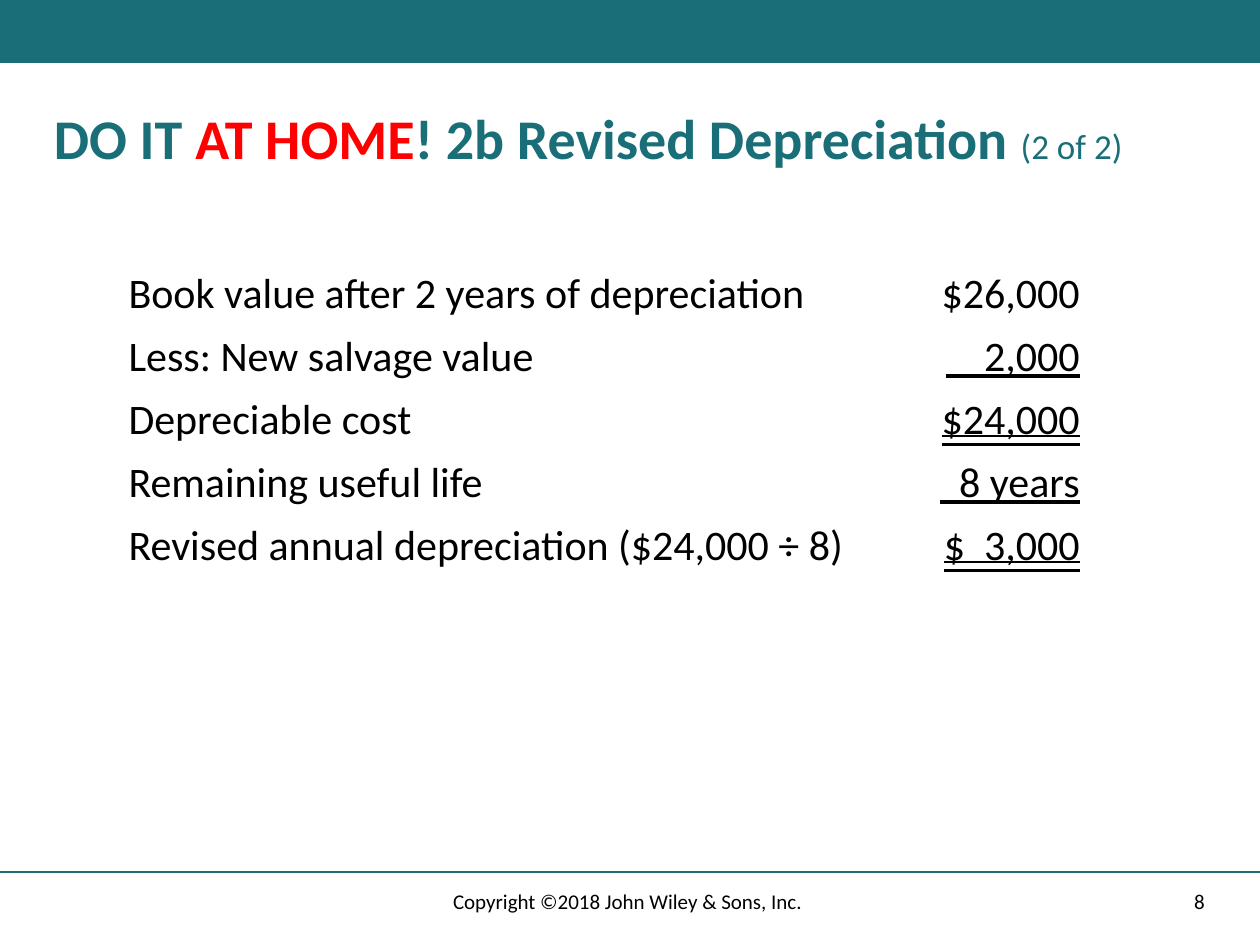
from lxml import etree
from pptx import Presentation
from pptx.dml.color import RGBColor
from pptx.enum.shapes import MSO_CONNECTOR, MSO_SHAPE
from pptx.enum.text import MSO_ANCHOR, MSO_TEXT_UNDERLINE_TYPE, PP_ALIGN
from pptx.oxml.ns import qn
from pptx.util import Inches, Pt

LEFT, CENTER, RIGHT = PP_ALIGN.LEFT, PP_ALIGN.CENTER, PP_ALIGN.RIGHT
TOP, MIDDLE = MSO_ANCHOR.TOP, MSO_ANCHOR.MIDDLE
RECTANGLE = MSO_SHAPE.RECTANGLE
STRAIGHT = MSO_CONNECTOR.STRAIGHT
SINGLE = MSO_TEXT_UNDERLINE_TYPE.SINGLE_LINE
DOUBLE = MSO_TEXT_UNDERLINE_TYPE.DOUBLE_LINE

TEAL, RED, BLACK = "196E78", "FF0000", "000000"


def color(code):
    return RGBColor.from_string(code)


class SlideBuilder:
    font_name = "Calibri"

    def __init__(self, slide):
        self.slide = slide

    def style(self, font, size, code, bold=False):
        font.name = self.font_name
        font.size = Pt(size)
        font.bold = bold
        font.color.rgb = color(code)

    def band(self, left, top, width, height, code):
        band = self.slide.shapes.add_shape(
            RECTANGLE, Inches(left), Inches(top), Inches(width), Inches(height))
        band.shadow.inherit = False
        band.fill.solid()
        band.fill.fore_color.rgb = color(code)
        band.line.fill.background()

    def rule(self, left, right, y, code, weight):
        rule = self.slide.shapes.add_connector(
            STRAIGHT, Inches(left), Inches(y), Inches(right), Inches(y))
        rule.line.color.rgb = color(code)
        rule.line.width = Pt(weight)
        etree.SubElement(rule._element.spPr, qn("a:effectLst"))

    def text_frame(self, left, top, width, height, anchor):
        frame = self.slide.shapes.add_textbox(
            Inches(left), Inches(top), Inches(width), Inches(height)).text_frame
        frame.word_wrap = True
        frame.vertical_anchor = anchor
        return frame

    def title(self, left, top, width, height, parts):
        heading = self.text_frame(left, top, width, height, TOP).paragraphs[0]
        heading.line_spacing = 0.9
        for words, size, code, bold in parts:
            run = heading.add_run()
            run.text = words
            self.style(run.font, size, code, bold)

    def footer(self, left, top, width, height, words, align):
        line = self.text_frame(left, top, width, height, MIDDLE).paragraphs[0]
        line.text = words
        line.alignment = align
        self.style(line.font, 12, BLACK)

    def schedule(self, left, top, widths, row_height, entries):
        table = self.slide.shapes.add_table(
            len(entries), len(widths), Inches(left), Inches(top),
            Inches(sum(widths)), Inches(row_height * len(entries))).table
        table.first_row = False
        table.horz_banding = False
        for column, width in zip(table.columns, widths):
            column.width = Inches(width)
        for row, (label, amount, underline) in zip(table.rows, entries):
            row.height = Inches(row_height)
            self.cell(row.cells[0], label, LEFT)
            self.cell(row.cells[1], amount, RIGHT, underline)

    def cell(self, cell, words, align, underline=None):
        cell.fill.background()
        entry = cell.text_frame.paragraphs[0]
        entry.alignment = align
        run = entry.add_run()
        run.text = words
        self.style(run.font, 24, BLACK)
        run.font.underline = underline


def main():
    deck = Presentation()
    deck.slide_width, deck.slide_height = Inches(10), Inches(7.5)
    page = SlideBuilder(deck.slides.add_slide(deck.slide_layouts[6]))

    page.band(0, 0, 10, 0.5, TEAL)
    page.rule(0, 10, 6.92, TEAL, 1)
    page.title(0.33, 0.83, 9.33, 0.75, [
        ("DO IT ", 32, TEAL, True),
        ("AT HOME", 32, RED, True),
        ("! 2b Revised Depreciation ", 32, TEAL, True),
        ("(2 of 2)", 20, TEAL, False),
    ])
    page.schedule(0.92, 2.08, [6.33, 1.42], 0.5, [
        ("Book value after 2 years of depreciation", "$26,000", None),
        ("Less: New salvage value", "    2,000", SINGLE),
        ("Depreciable cost", "$24,000", DOUBLE),
        ("Remaining useful life", "  8 years", SINGLE),
        ("Revised annual depreciation ($24,000 ÷ 8)", "$  3,000", DOUBLE),
    ])
    page.footer(7.06, 6.95, 2.6, 0.4, "8", RIGHT)
    page.footer(3.31, 6.95, 3.38, 0.4,
                "Copyright ©2018 John Wiley & Sons, Inc. ", CENTER)
    deck.save("out.pptx")


if __name__ == "__main__":
    main()
